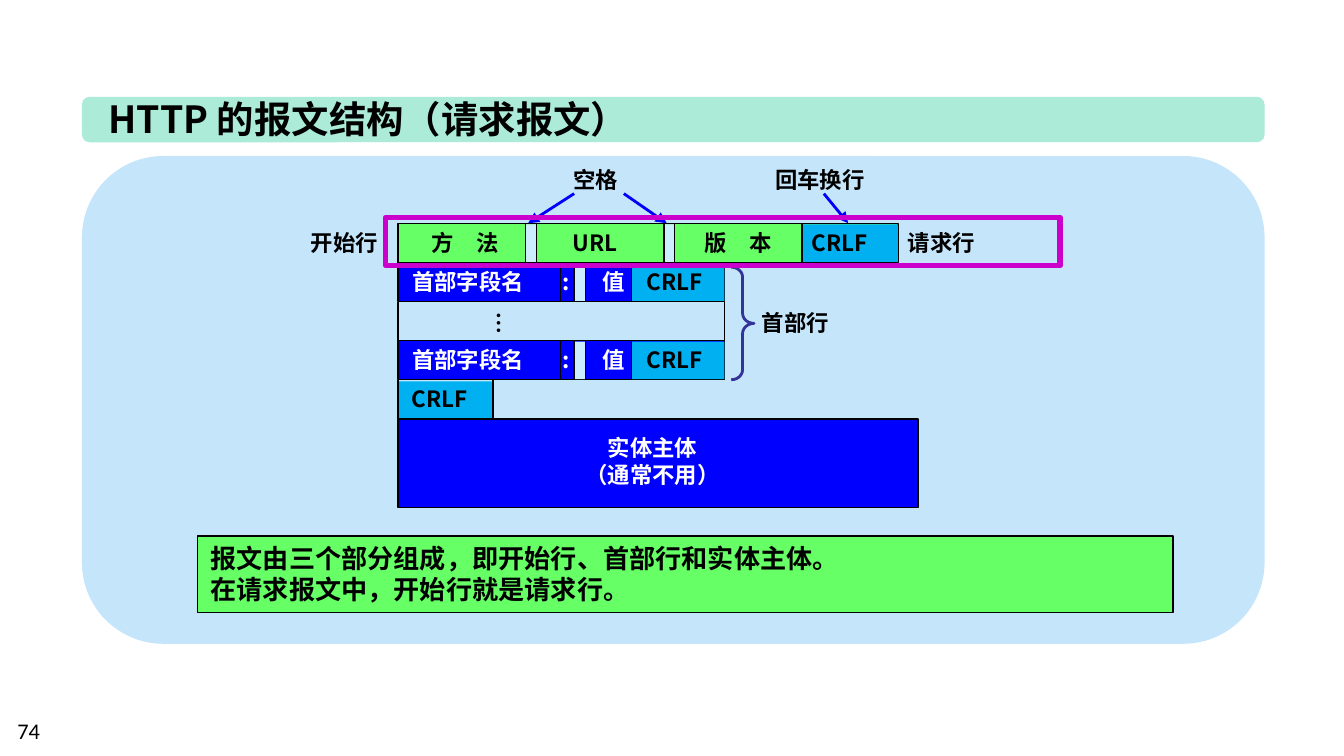
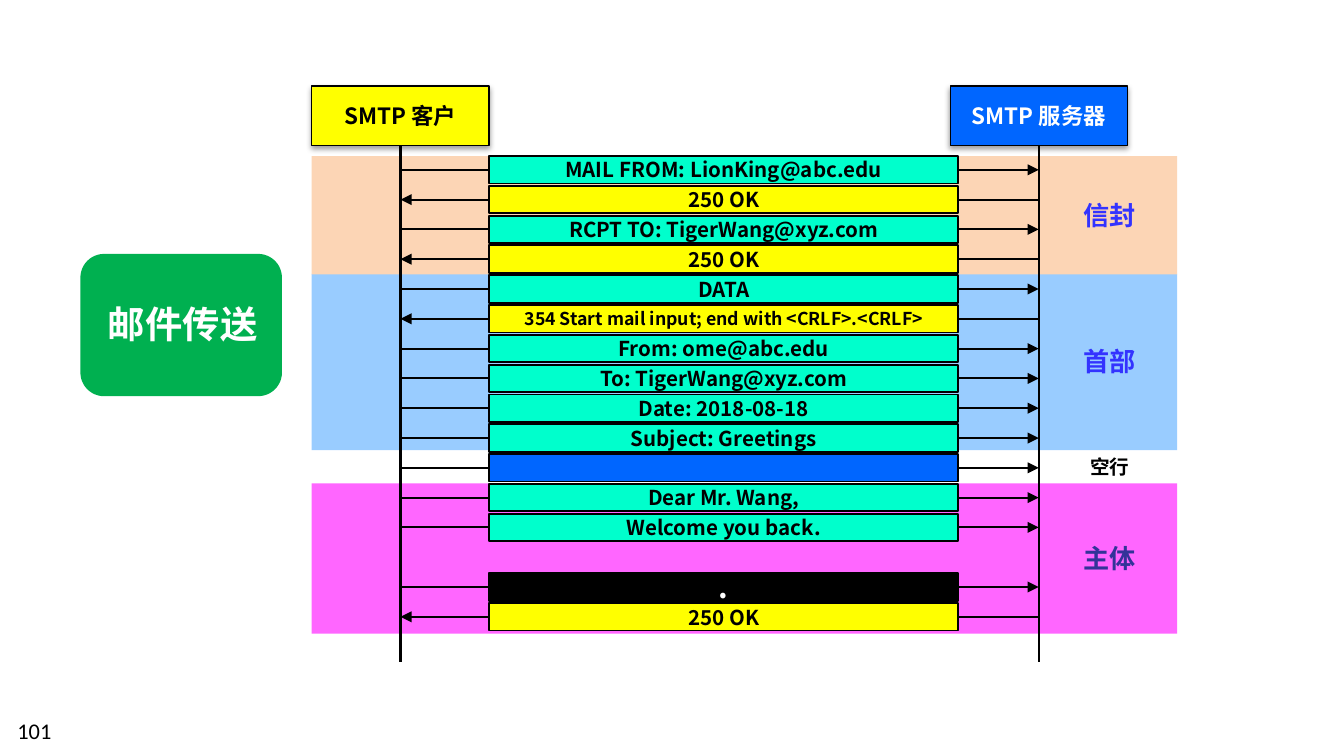
"""Build two slides: the HTTP request message layout and the SMTP mail exchange."""
import pptx
import pptx.dml.color
import pptx.enum.shapes
import pptx.enum.text
import pptx.oxml
import pptx.oxml.ns
import pptx.util

Cm = pptx.util.Cm
Pt = pptx.util.Pt
SHAPES = pptx.enum.shapes.MSO_SHAPE
ALIGN = pptx.enum.text.PP_ALIGN
ANCHOR = pptx.enum.text.MSO_ANCHOR
FONT = "Noto Sans CJK SC"
NUMBER_FONT = "Calibri"

COLORS = {
    "black": "000000", "white": "FFFFFF", "panel": "C5E5FB", "title_band": "ABEBD7",
    "blue": "0000FF", "lime": "66FF66", "crlf": "00B0F0", "space": "CCECFF",
    "frame": "CC00CC", "navy": "333399", "violet": "3333FF", "green": "00B050",
    "server": "0066FF", "reply": "FFFF00", "command": "00FFCC",
    "envelope": "FCD5B5", "header": "99CCFF", "body": "FF66FF",
}

TITLE = "HTTP 的报文结构（请求报文）"
NOTE = ["报文由三个部分组成，即开始行、首部行和实体主体。", "在请求报文中，开始行就是请求行。"]
ENTITY = ["实体主体", "（通常不用）"]
MESSAGE_LEFT, MESSAGE_TOP, ROW_HEIGHT = 7.52, 4.22, 0.74
REQUEST_ROW = {"right": 16.97, "fill": "lime", "crlf": 15.16,
               "spaces": [(9.93, 10.14), (12.55, 12.75)], "dividers": []}
HEADER_ROW = {"right": 13.69, "fill": "blue", "crlf": 11.94,
              "spaces": [(10.85, 11.07)], "dividers": [10.59]}
ROWS = [(3, HEADER_ROW), (1, HEADER_ROW), (0, REQUEST_ROW)]
HEADER_LABELS = [("首部字段名", 7.53, 2.64, "white"), (":", 10.39, 0.64, "white"),
                 ("值", 11.12, 0.94, "white"), ("CRLF", 11.97, 1.57, "black")]
REQUEST_LABELS = [("开始行", 5.61, 1.8, "black"), ("方　法", 7.8, 2, "black"),
                  ("URL", 10.57, 1.37, "black"), ("版　本", 12.95, 2, "black"),
                  ("CRLF", 15.09, 1.57, "black"), ("请求行", 16.89, 1.8, "black")]
ROW_LABELS = [(0, REQUEST_LABELS), (1, HEADER_LABELS), (3, HEADER_LABELS),
              (4, [("CRLF", MESSAGE_LEFT, 1.57, "black")])]
CALLOUTS = [("空格", 10.59, 1.37), ("回车换行", 14.4, 2.24)]
CALLOUT_ARROWS = [(11.79, 12.6), (10.85, 9.98), (15.57, 16.03)]

STAGE = "邮件传送"
PARTIES = [("SMTP 服务器", 17.96, "server", "white"), ("SMTP 客户", 5.89, "reply", "black")]
BANDS = [("body", 9.14, 2.84), ("header", 5.18, 3.33), ("envelope", 2.95, 2.24)]
BAND_LABELS = [("信封", 3.63, 14, "violet"), ("首部", 6.4, 14, "violet"),
               ("主体", 10.11, 14, "navy"), ("空行", 8.46, 10.5, "black")]
EXCHANGE = [
    ("command", "MAIL FROM: LionKing@abc.edu"), ("reply", "250 OK"),
    ("command", "RCPT TO: TigerWang@xyz.com"), ("reply", "250 OK"),
    ("command", "DATA"), ("reply", "354 Start mail input; end with <CRLF>.<CRLF>"),
    ("command", "From: ome@abc.edu"), ("command", "To: TigerWang@xyz.com"),
    ("command", "Date: 2018-08-18"), ("command", "Subject: Greetings"),
    ("server", ""), ("command", "Dear Mr. Wang,"), ("command", "Welcome you back."),
    None, ("black", "."), ("reply", "250 OK"),
]
EXCHANGE_TOP, EXCHANGE_LAST_TOP, BOX_HEIGHT = 2.95, 11.4, 0.52
EXCHANGE_PITCH = (EXCHANGE_LAST_TOP - EXCHANGE_TOP) / (len(EXCHANGE) - 1)
CLIENT_X, SERVER_X, LIFELINE_BOTTOM = 7.57, 19.63, 12.52


def rgb(name):
    return pptx.dml.color.RGBColor.from_string(COLORS[name])


def write_text(shape, text, size=12, color="black", font=FONT, bold=True,
               align=ALIGN.LEFT, anchor=ANCHOR.TOP, wrap=True):
    frame = shape.text_frame
    frame.word_wrap = wrap
    frame.vertical_anchor = anchor
    if not wrap:
        frame.auto_size = pptx.enum.text.MSO_AUTO_SIZE.SHAPE_TO_FIT_TEXT
    for index, line in enumerate([text] if isinstance(text, str) else text):
        paragraph = frame.add_paragraph() if index else frame.paragraphs[0]
        paragraph.alignment = align
        run = paragraph.add_run()
        run.text = line
        run.font.size = Pt(size)
        run.font.bold = bold
        run.font.color.rgb = rgb(color)
        run.font.name = font
        east_asian = pptx.oxml.parse_xml(
            f'<a:ea {pptx.oxml.ns.nsdecls("a")} typeface="{font}"/>')
        run.font._element.append(east_asian)


def add_label(slide, text, left, top, width, height=0.76, wrap=False, **style):
    shape = slide.shapes.add_textbox(Cm(left), Cm(top), Cm(width), Cm(height))
    write_text(shape, text, wrap=wrap, **style)
    return shape


def add_block(slide, left, top, width, height, fill=None, line=None, weight=0.75,
              kind=SHAPES.RECTANGLE):
    shape = slide.shapes.add_shape(kind, Cm(left), Cm(top), Cm(width), Cm(height))
    shape.shadow.inherit = False
    if fill:
        shape.fill.solid()
        shape.fill.fore_color.rgb = rgb(fill)
    else:
        shape.fill.background()
    if line:
        shape.line.color.rgb = rgb(line)
        shape.line.width = Pt(weight)
    else:
        shape.line.fill.background()
    return shape


def add_line(slide, start, end, color="black", weight=0.75, arrow=None):
    connector = slide.shapes.add_connector(
        pptx.enum.shapes.MSO_CONNECTOR.STRAIGHT, *(Cm(value) for value in start + end))
    connector.line.color.rgb = rgb(color)
    connector.line.width = Pt(weight)
    namespace = pptx.oxml.ns.nsdecls("a")
    if arrow:
        connector.line._ln.append(
            pptx.oxml.parse_xml(f'<a:{arrow}End {namespace} type="triangle"/>'))
    connector._element.spPr.append(pptx.oxml.parse_xml(f"<a:effectLst {namespace}/>"))
    return connector


def add_drop_shadow(shape):
    effects = shape._element.spPr.find(pptx.oxml.ns.qn("a:effectLst"))
    effects.append(pptx.oxml.parse_xml(
        f'<a:outerShdw {pptx.oxml.ns.nsdecls("a")} blurRad="{Pt(3.1)}" dist="{Pt(1.6)}" '
        'dir="5400000" rotWithShape="0"><a:srgbClr val="000000">'
        '<a:alpha val="38000"/></a:srgbClr></a:outerShdw>'))


def add_slide(presentation, number):
    slide = presentation.slides.add_slide(presentation.slide_layouts[6])
    add_label(slide, number, 0.08, 13.44, 5.92, wrap=True, font=NUMBER_FONT, bold=False)
    return slide


def row_top(row):
    return MESSAGE_TOP + row * ROW_HEIGHT


def add_message_row(slide, row, right, fill, crlf, spaces, dividers):
    top = row_top(row)
    add_block(slide, MESSAGE_LEFT, top, right - MESSAGE_LEFT, ROW_HEIGHT, fill, "black")
    add_block(slide, crlf, top + 0.02, right - crlf, ROW_HEIGHT - 0.03, "crlf")
    edges = dividers + [crlf]
    for left, end in spaces:
        add_block(slide, left, top + 0.02, end - left, ROW_HEIGHT - 0.03, "space")
        edges += [left, end]
    for x in edges:
        add_line(slide, (x, top), (x, top + ROW_HEIGHT))


def build_http_slide(presentation):
    slide = add_slide(presentation, "74")
    add_block(slide, 1.55, 2.95, 22.35, 9.22, "panel", kind=SHAPES.ROUNDED_RECTANGLE)
    add_block(slide, 1.55, 1.83, 22.35, 0.86, "title_band", kind=SHAPES.ROUNDED_RECTANGLE)
    add_label(slide, TITLE, 1.8, 1.7, 10.52, 1.12, size=20)

    for row, parts in ROWS:
        add_message_row(slide, row, **parts)
    add_block(slide, MESSAGE_LEFT, row_top(4) + 0.03, 1.8, ROW_HEIGHT - 0.03, "crlf")
    for x, row in [(MESSAGE_LEFT, 2), (13.69, 2), (MESSAGE_LEFT, 4), (9.32, 4)]:
        add_line(slide, (x, row_top(row)), (x, row_top(row + 1)))
    add_block(slide, MESSAGE_LEFT, row_top(5), 9.83, 1.68, "blue", "black")
    add_label(slide, ENTITY, 10.8, 8.08, 3.07, 1.27, color="white", align=ALIGN.CENTER)

    brace = add_block(slide, 13.82, 5.05, 0.43, 2.13, line="navy", weight=1.5,
                      kind=SHAPES.RIGHT_BRACE)
    brace.adjustments[0] = 0.44
    add_label(slide, "首部行", 14.15, 5.72, 1.8)
    add_label(slide, "…", 8.97, 5.74, 0.91).rotation = 270

    for text, left, width in CALLOUTS:
        add_label(slide, text, left, 3.02, width)
    for start, end in CALLOUT_ARROWS:
        add_line(slide, (start, 3.66), (end, MESSAGE_TOP), "blue", 1.5, "tail")
    add_block(slide, 7.29, 4.11, 12.75, 0.91, line="frame", weight=3)
    for row, labels in ROW_LABELS:
        for text, left, width, color in labels:
            add_label(slide, text, left, row_top(row) - 0.02, width, color=color,
                      align=ALIGN.CENTER)

    note = add_block(slide, 3.73, 10.13, 18.44, 1.45, "lime", "black")
    write_text(note, NOTE, size=14)


def build_smtp_slide(presentation):
    slide = add_slide(presentation, "101")
    for fill, top, height in BANDS:
        add_block(slide, 5.89, top, 16.36, height, fill)
    add_block(slide, 1.52, 4.8, 3.81, 2.69, "green", kind=SHAPES.ROUNDED_RECTANGLE)
    add_label(slide, STAGE, 1.78, 5.56, 3.35, 1.12, size=20, color="white",
              align=ALIGN.CENTER)

    for text, left, fill, color in PARTIES:
        party = add_block(slide, left, 1.63, 3.35, 1.12, fill, "black")
        add_drop_shadow(party)
        write_text(party, text, color=color, align=ALIGN.CENTER, anchor=ANCHOR.MIDDLE)
        x = left + 3.35 / 2
        lifeline = add_line(slide, (x, 2.75), (x, LIFELINE_BOTTOM), weight=1.5)
        lifeline.begin_connect(party, 2)

    for slot, message in enumerate(EXCHANGE):
        if message is None:
            continue
        fill, text = message
        top = EXCHANGE_TOP + slot * EXCHANGE_PITCH
        middle = top + BOX_HEIGHT / 2
        add_line(slide, (CLIENT_X, middle), (SERVER_X, middle), weight=1,
                 arrow="head" if fill == "reply" else "tail")
        box = add_block(slide, 9.25, top, 8.86, BOX_HEIGHT, fill, "black", 1)
        if text:
            size = 16 if text == "." else 9.5 if len(text) > 40 else 11
            write_text(box, text, size=size, color="white" if fill == "black" else "black",
                       align=ALIGN.CENTER, anchor=ANCHOR.MIDDLE)

    for text, top, size, color in BAND_LABELS:
        add_label(slide, text, 19.69, top, 2.57, 0.86 if size == 14 else 0.74, wrap=True,
                  size=size, color=color, align=ALIGN.CENTER, anchor=ANCHOR.MIDDLE)


def main():
    presentation = pptx.Presentation()
    presentation.slide_width = Cm(25.4)
    presentation.slide_height = Cm(14.29)
    build_http_slide(presentation)
    build_smtp_slide(presentation)
    presentation.save("out.pptx")


if __name__ == "__main__":
    main()
